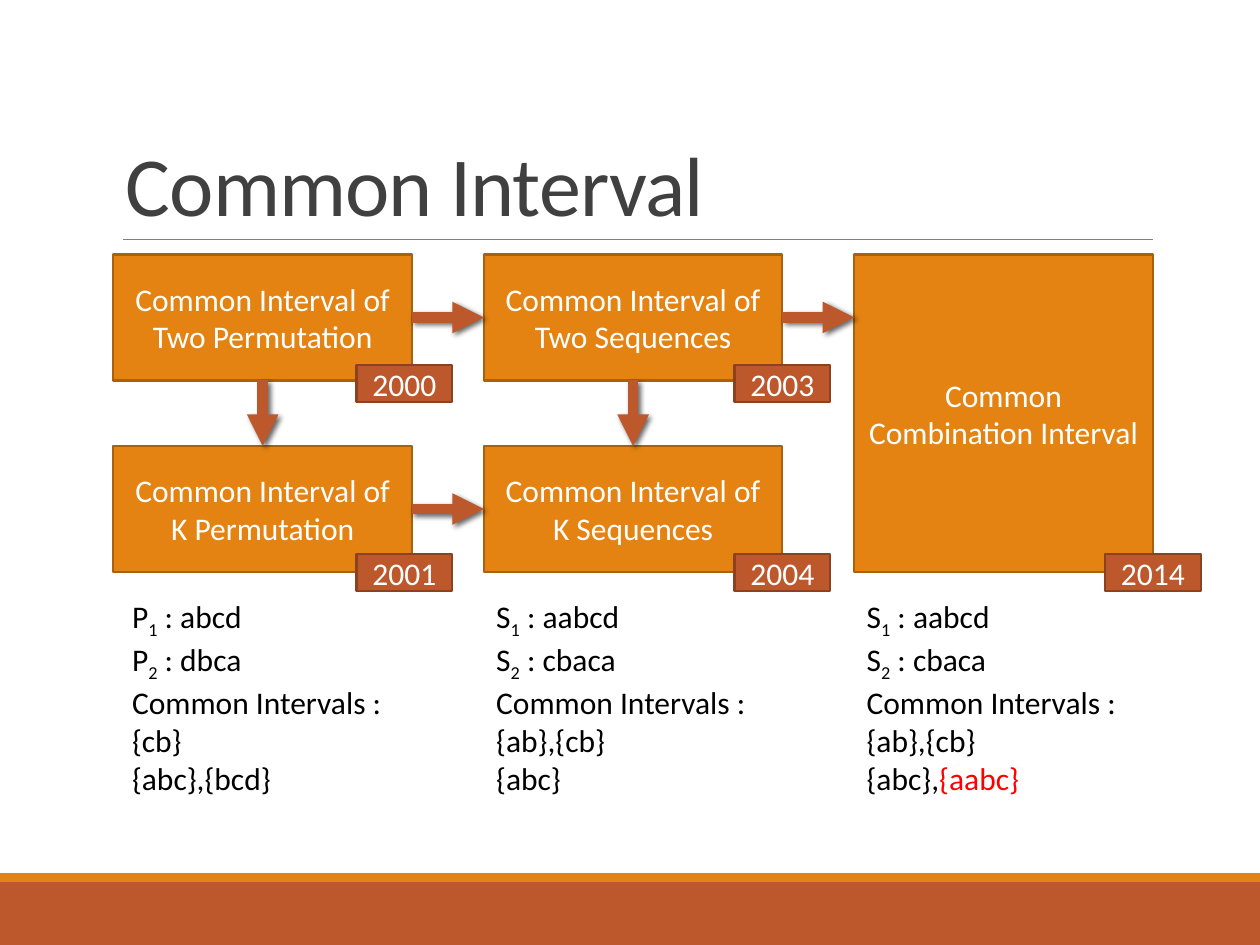
import pptx
import pptx.util
import pptx.dml.color
import pptx.enum.shapes
import pptx.enum.text
import pptx.oxml
from pptx.oxml.ns import nsdecls

Inches, Pt = pptx.util.Inches, pptx.util.Pt
ANCHOR = pptx.enum.text.MSO_ANCHOR
ALIGN = pptx.enum.text.PP_ALIGN

WIDTH, HEIGHT = 10, 7.5
ORANGE, RUST = "E48312", "BD582C"
ORANGE_EDGE, RUST_EDGE = "A9610D", "8C4121"
WHITE, BLACK, RED = "FFFFFF", "000000", "FF0000"

TITLE = "Common Interval"
COLUMNS, ROWS = (0.9, 3.84, 6.78), (2.02, 3.54)
BOX_WIDTH, BOX_HEIGHT = 2.37, 1
BADGE_LEFTS, BADGE_TOPS = (2.83, 5.83, 8.77), (2.9, 4.4)
BADGE_WIDTH, BADGE_HEIGHT = 0.76, 0.29
BOTTOM, LEFT, RIGHT, TOP = 2, 1, 3, 0

# key: (column, first row, rows spanned, wording)
BOXES = {
    "two permutations": (0, 0, 1, "Common Interval of Two Permutation"),
    "k permutations": (0, 1, 1, "Common Interval of K Permutation"),
    "two sequences": (1, 0, 1, "Common Interval of Two Sequences"),
    "k sequences": (1, 1, 1, "Common Interval of K Sequences"),
    "combination": (2, 0, 2, "Common Combination Interval"),
}
DOWN_ARROWS = [("two permutations", "k permutations"),
               ("two sequences", "k sequences")]
RIGHT_ARROWS = [("two permutations", "two sequences"),
                ("k permutations", "k sequences"),
                ("two sequences", "combination")]
# (column, row, year)
BADGES = [(0, 0, "2000"), (0, 1, "2001"), (1, 1, "2004"),
          (1, 0, "2003"), (2, 1, "2014")]
# (left, letter, two strings, interval lines, interval marked in red)
EXAMPLES = [
    (0.95, "P", ("abcd", "dbca"), ("{cb}", "{abc},{bcd}"), ""),
    (COLUMNS[1], "S", ("aabcd", "cbaca"), ("{ab},{cb}", "{abc}"), ""),
    (COLUMNS[2], "S", ("aabcd", "cbaca"), ("{ab},{cb}", "{abc},"), "{aabc}"),
]


def rgb(color):
    return pptx.dml.color.RGBColor.from_string(color)


def format_run(run, size, color):
    run.font.name = "Calibri"
    run.font.size = Pt(size)
    run.font.color.rgb = rgb(color)


def add_run(paragraph, text, color=BLACK, subscript=False):
    run = paragraph.add_run()
    run.text = text
    format_run(run, 18, color)
    if subscript:
        run._r.get_or_add_rPr().set("baseline", "-25000")


def add_rectangle(slide, left, top, width, height, fill, edge=None, text=""):
    shape = slide.shapes.add_shape(
        pptx.enum.shapes.MSO_SHAPE.RECTANGLE,
        Inches(left), Inches(top), Inches(width), Inches(height))
    shape.shadow.inherit = False
    shape.fill.solid()
    shape.fill.fore_color.rgb = rgb(fill)
    if edge:
        shape.line.color.rgb = rgb(edge)
        shape.line.width = Pt(1.25)
    else:
        shape.line.fill.background()
    if text:
        frame = shape.text_frame
        frame.text = text
        frame.word_wrap = True
        frame.vertical_anchor = ANCHOR.MIDDLE
        frame.paragraphs[0].alignment = ALIGN.CENTER
        format_run(frame.paragraphs[0].runs[0], 18, WHITE)
    return shape


def add_line(slide, start, end, color, width):
    line = slide.shapes.add_connector(
        pptx.enum.shapes.MSO_CONNECTOR.STRAIGHT,
        Inches(start[0]), Inches(start[1]), Inches(end[0]), Inches(end[1]))
    line.line.color.rgb = rgb(color)
    line.line.width = Pt(width)
    effects = pptx.oxml.parse_xml(f"<a:effectLst {nsdecls('a')}/>")
    line._element.spPr.append(effects)
    return line, effects


def add_arrow(slide, start, end):
    """Add a thick arrow with a soft shadow falling to the lower right."""
    arrow, effects = add_line(slide, start, end, RUST, 6)
    arrow.line._get_or_add_ln().append(pptx.oxml.parse_xml(
        f'<a:tailEnd {nsdecls("a")} type="triangle"/>'))
    effects.append(pptx.oxml.parse_xml(
        f'<a:outerShdw {nsdecls("a")} blurRad="{Pt(3)}" dist="{Pt(2)}" '
        'dir="2700000" algn="tl" rotWithShape="0"><a:srgbClr val="000000">'
        '<a:alpha val="60000"/></a:srgbClr></a:outerShdw>'))
    return arrow


def add_title(slide):
    box = slide.shapes.add_textbox(
        Inches(0.9), Inches(0.31), Inches(8.25), Inches(1.59))
    frame = box.text_frame
    frame.text = TITLE
    frame.word_wrap = True
    frame.vertical_anchor = ANCHOR.BOTTOM
    paragraph = frame.paragraphs[0]
    paragraph.line_spacing = 0.85
    run = paragraph.runs[0]
    format_run(run, 48, "404040")
    run._r.get_or_add_rPr().set("spc", "-50")


def add_diagram(slide):
    shapes = {}
    for key, (column, row, span, text) in BOXES.items():
        height = ROWS[row + span - 1] + BOX_HEIGHT - ROWS[row]
        shapes[key] = add_rectangle(slide, COLUMNS[column], ROWS[row],
                                    BOX_WIDTH, height, ORANGE, ORANGE_EDGE, text)
    for source, target in DOWN_ARROWS:
        column = BOXES[source][0]
        x = COLUMNS[column] + BOX_WIDTH / 2
        arrow = add_arrow(slide, (x, ROWS[0] + BOX_HEIGHT), (x, ROWS[1]))
        arrow.begin_connect(shapes[source], BOTTOM)
        arrow.end_connect(shapes[target], TOP)
    for source, target in RIGHT_ARROWS:
        column, row = BOXES[source][:2]
        y = ROWS[row] + BOX_HEIGHT / 2
        arrow = add_arrow(slide, (COLUMNS[column] + BOX_WIDTH, y),
                          (COLUMNS[column + 1], y))
        arrow.begin_connect(shapes[source], RIGHT)
        if BOXES[target][2] == 1:  # the tall box is met above its middle
            arrow.end_connect(shapes[target], LEFT)
    for column, row, year in BADGES:
        add_rectangle(slide, BADGE_LEFTS[column], BADGE_TOPS[row],
                      BADGE_WIDTH, BADGE_HEIGHT, RUST, RUST_EDGE, year)


def add_example(slide, left, letter, strings, intervals, marked):
    box = slide.shapes.add_textbox(
        Inches(left), Inches(4.69), Inches(2.2), Inches(1.62))
    frame = box.text_frame
    frame.word_wrap = False
    frame.auto_size = pptx.enum.text.MSO_AUTO_SIZE.SHAPE_TO_FIT_TEXT
    paragraph = frame.paragraphs[0]
    for number, string in enumerate(strings, 1):
        add_run(paragraph, letter)
        add_run(paragraph, str(number), subscript=True)
        add_run(paragraph, f" : {string}")
        paragraph = frame.add_paragraph()
    add_run(paragraph, "Common Intervals :")
    for line in intervals:
        paragraph = frame.add_paragraph()
        add_run(paragraph, line)
    if marked:
        add_run(paragraph, marked, RED)


def main():
    presentation = pptx.Presentation()
    presentation.slide_width = Inches(WIDTH)
    presentation.slide_height = Inches(HEIGHT)
    slide = presentation.slides.add_slide(presentation.slide_layouts[6])
    add_rectangle(slide, 0, 7, WIDTH, 0.5, RUST)
    add_rectangle(slide, 0, 6.93, WIDTH, 0.07, ORANGE)
    add_line(slide, (0.98, 1.9), (9.15, 1.9), "808080", 0.5)
    add_title(slide)
    add_diagram(slide)
    for example in EXAMPLES:
        add_example(slide, *example)
    presentation.save("out.pptx")


if __name__ == "__main__":
    main()
